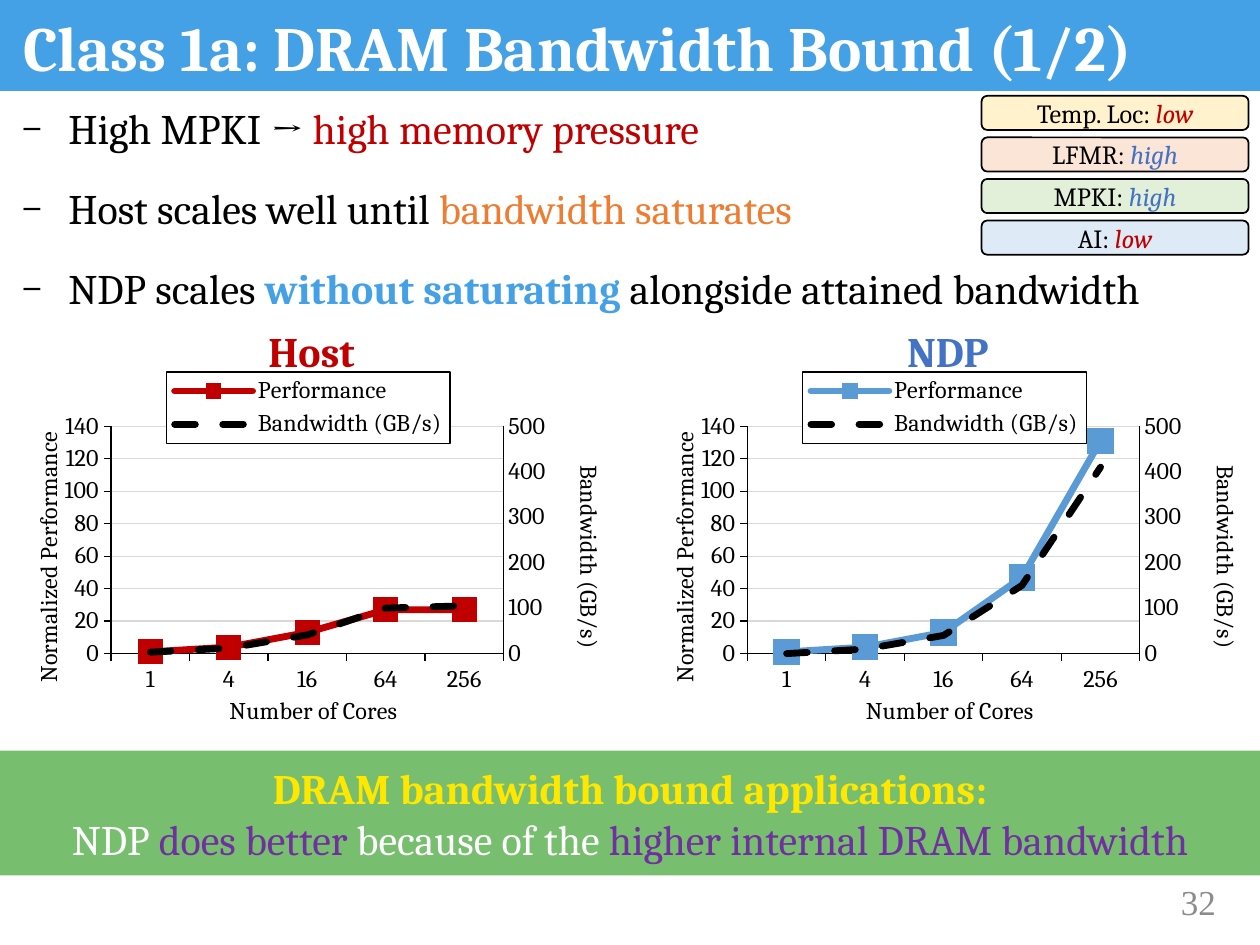
from dataclasses import dataclass

from pptx import Presentation
from pptx.chart.axis import ValueAxis
from pptx.chart.data import CategoryChartData
from pptx.dml.color import RGBColor
from pptx.enum.chart import XL_CHART_TYPE, XL_LEGEND_POSITION, XL_MARKER_STYLE, XL_TICK_MARK
from pptx.enum.dml import MSO_LINE
from pptx.enum.shapes import MSO_SHAPE
from pptx.enum.text import MSO_ANCHOR, MSO_AUTO_SIZE, PP_ALIGN
from pptx.oxml import parse_xml
from pptx.oxml.ns import nsdecls, qn
from pptx.util import Pt

LEFT, CENTER, RIGHT = PP_ALIGN.LEFT, PP_ALIGN.CENTER, PP_ALIGN.RIGHT
TOP, MIDDLE = MSO_ANCHOR.TOP, MSO_ANCHOR.MIDDLE
RECT, ROUNDED = MSO_SHAPE.RECTANGLE, MSO_SHAPE.ROUNDED_RECTANGLE
TICK_OUT, TICK_NONE = XL_TICK_MARK.OUTSIDE, XL_TICK_MARK.NONE


@dataclass(frozen=True)
class Theme:
    font: str = "Cambria"
    number_font: str = "Times New Roman"
    title_size: int = 36
    body_size: int = 24
    number_size: int = 20
    tag_size: int = 15
    chart_size: int = 14
    black: str = "000000"
    white: str = "FFFFFF"
    gray: str = "8C8C8C"
    grid: str = "D9D9D9"
    sky: str = "45A1E6"
    green: str = "77BF6F"
    yellow: str = "FFE700"
    purple: str = "7030A0"
    red: str = "C00000"
    orange: str = "ED7D31"
    blue: str = "4472C4"
    ndp_line: str = "5B9BD5"
    tag_fills: tuple = ("FFF2CC", "FBE5D6", "E2F0D9", "DEEBF7")


THEME = Theme()
rgb = RGBColor.from_string


def write(frame, paragraphs, size=THEME.body_size, font=THEME.font, align=LEFT,
          anchor=TOP, wrap=True, bullet=None, gap=0, line_spacing=1):
    """Fill a frame; each paragraph is a list of (text, colour, style) runs."""
    frame.word_wrap = wrap
    frame.auto_size = MSO_AUTO_SIZE.NONE
    frame.vertical_anchor = anchor
    for i, runs in enumerate(paragraphs):
        paragraph = frame.add_paragraph() if i else frame.paragraphs[0]
        if bullet:
            props = paragraph._p.get_or_add_pPr()
            props.set("marL", str(Pt(27.36)))
            props.set("indent", str(-Pt(27.36)))
            props.append(parse_xml(f'<a:buFont {nsdecls("a")} typeface="{font}"/>'))
            props.append(parse_xml(f'<a:buChar {nsdecls("a")} char="{bullet}"/>'))
        paragraph.alignment = align
        paragraph.line_spacing = line_spacing
        paragraph.space_before = Pt(gap if i else 0)
        for text, color, style in runs:
            run = paragraph.add_run()
            run.text = text
            run.font.name, run.font.size = font, Pt(size)
            run.font.color.rgb = rgb(color)
            run.font.bold, run.font.italic = style == "bold", style == "italic"


def place(shape, box):
    shape.left, shape.top, shape.width, shape.height = map(Pt, box)


def add_panel(slide, kind, box, fill, outline=None):
    panel = slide.shapes.add_shape(kind, *map(Pt, box))
    panel.shadow.inherit = False
    panel.fill.solid()
    panel.fill.fore_color.rgb = rgb(fill)
    if outline:
        panel.line.color.rgb = rgb(outline)
        panel.line.width = Pt(1)
    else:
        panel.line.fill.background()
    return panel


def add_label(slide, box, text, color, **style):
    label = slide.shapes.add_textbox(*map(Pt, box))
    write(label.text_frame, [[(text, color, style.pop("weight", None))]], **style)


def add_header(slide, box):
    left, top, width, height = box
    band = add_panel(slide, RECT, box, THEME.sky)
    slide.shapes._spTree.insert(2, band._element)  # behind the title
    title = slide.shapes.title
    place(title, (left + 6, top + 8, width - 12, height + 4))
    write(title.text_frame, [[("Class 1a: DRAM Bandwidth Bound (1/2)", THEME.white, "bold")]],
          size=THEME.title_size, line_spacing=0.9)


def add_findings(slide, box):
    findings = slide.placeholders[1]
    place(findings, box)
    write(findings.text_frame, [
        [("High MPKI →", THEME.black, None), (" high memory pressure", THEME.red, None)],
        [("Host scales well until ", THEME.black, None),
         ("bandwidth saturates", THEME.orange, None)],
        [("NDP scales ", THEME.black, None), ("without saturating", THEME.sky, "bold"),
         (" alongside attained bandwidth", THEME.black, None)],
    ], bullet="−", gap=17)


def add_tags(slide, box):
    left, top, width, height = box
    pitch, tag_height = height / 4, 19.5
    tags = (("Temp. Loc", "low"), ("LFMR", "high"), ("MPKI", "high"), ("AI", "low"))
    for i, ((metric, level), fill) in enumerate(zip(tags, THEME.tag_fills)):
        tag = add_panel(slide, ROUNDED, (left, top + i * pitch, width, tag_height),
                        fill, THEME.black)
        tag.text_frame.margin_top = tag.text_frame.margin_bottom = 0
        level_color = THEME.red if level == "low" else THEME.blue
        write(tag.text_frame, [[(f"{metric}: ", THEME.black, None),
                                (level, level_color, "italic")]],
              size=THEME.tag_size, align=CENTER, anchor=MIDDLE)


def set_layout(parent, index, inner=False, **fractions):
    """Give a chart part a manual layout in fractions of the chart."""
    for old in parent.findall(qn("c:layout")):
        parent.remove(old)
    target = '<c:layoutTarget val="inner"/>' if inner else ""
    values = "".join(f'<c:{key} val="{value}"/>' for key, value in fractions.items())
    parent.insert(index, parse_xml(
        f'<c:layout {nsdecls("c")}><c:manualLayout>{target}<c:xMode val="edge"/>'
        f'<c:yMode val="edge"/>{values}</c:manualLayout></c:layout>'))


def style_axis(axis, title, x, y, turn=0, tick=TICK_OUT):
    axis.major_tick_mark, axis.minor_tick_mark = tick, TICK_NONE
    axis.format.line.color.rgb = rgb(THEME.black)
    axis.format.line.width = Pt(0.75)
    axis.tick_labels.font.size = Pt(THEME.chart_size)
    write(axis.axis_title.text_frame, [[(title, THEME.black, None)]],
          size=THEME.chart_size, align=CENTER)
    heading = axis.axis_title._element
    heading.find(".//" + qn("a:bodyPr")).set("rot", str(turn * 60000))
    set_layout(heading, 1, x=x, y=y)


def scale(axis, top, step):
    axis.minimum_scale, axis.maximum_scale, axis.major_unit = 0, top, step


def add_right_axis(chart):
    """Move the second series to its own line chart on a right-hand axis."""
    plot_area = chart._chartSpace.chart.plotArea
    lines = plot_area.find(qn("c:lineChart"))
    second = parse_xml(
        f'<c:lineChart {nsdecls("c")}><c:grouping val="standard"/><c:varyColors val="0"/>'
        '<c:marker val="1"/><c:axId val="21"/><c:axId val="22"/></c:lineChart>')
    second.insert(2, lines.findall(qn("c:ser"))[1])
    lines.addnext(second)
    last = plot_area.find(qn("c:valAx"))
    for kind, own, other, hidden, side, crosses in (
            ("valAx", 22, 21, 0, "r", "max"), ("catAx", 21, 22, 1, "b", "autoZero")):
        last.addnext(parse_xml(
            f'<c:{kind} {nsdecls("c")}><c:axId val="{own}"/><c:scaling/>'
            f'<c:delete val="{hidden}"/><c:axPos val="{side}"/>'
            '<c:numFmt formatCode="General" sourceLinked="0"/>'
            '<c:tickLblPos val="nextTo"/>'
            f'<c:crossAx val="{other}"/><c:crosses val="{crosses}"/></c:{kind}>'))
    return ValueAxis(plot_area.findall(qn("c:valAx"))[1])


def add_scaling_chart(slide, box, performance, bandwidth, color, marker_size):
    data = CategoryChartData()
    data.categories = ["1", "4", "16", "64", "256"]
    data.add_series("Performance", performance)
    data.add_series("Bandwidth (GB/s)", bandwidth)
    chart = slide.shapes.add_chart(XL_CHART_TYPE.LINE_MARKERS, *map(Pt, box), data).chart
    chart.has_title = False
    chart.font.name, chart.font.size = THEME.font, Pt(THEME.chart_size)
    chart.font.color.rgb = rgb(THEME.black)
    chart.plots[0].vary_by_categories = False

    # Series
    for series, line_color in zip(chart.plots[0].series, (color, THEME.black)):
        series.smooth = False
        series.format.line.color.rgb = rgb(line_color)
        series.format.line.width = Pt(4)
        series.format.line._ln.set("cap", "rnd")
    series.format.line.dash_style = MSO_LINE.DASH
    series.marker.style = XL_MARKER_STYLE.NONE
    marker = chart.plots[0].series[0].marker
    marker.style, marker.size = XL_MARKER_STYLE.SQUARE, marker_size
    marker.format.fill.solid()
    marker.format.fill.fore_color.rgb = rgb(color)
    marker.format.line.color.rgb = rgb(color)

    # Axes
    style_axis(chart.category_axis, "Number of Cores", 0.357, 0.905)
    left_axis = chart.value_axis
    style_axis(left_axis, "Normalized Performance", 0.018, 0.18, turn=-90)
    scale(left_axis, 140, 20)
    left_axis.major_gridlines.format.line.color.rgb = rgb(THEME.grid)
    left_axis.major_gridlines.format.line.width = Pt(0.75)
    right_axis = add_right_axis(chart)
    style_axis(right_axis, "Bandwidth (GB/s)", 0.945, 0.27, turn=90, tick=TICK_NONE)
    scale(right_axis, 500, 100)
    set_layout(chart._chartSpace.chart.plotArea, 0, inner=True, x=0.161, y=0.175, w=0.675, h=0.628)

    # Legend
    chart.has_legend = True
    legend = chart.legend
    legend.position, legend.include_in_layout = XL_LEGEND_POSITION.TOP, False
    legend.font.size = Pt(THEME.chart_size)
    set_layout(legend._element, 1, x=0.256, y=0.025, w=0.488, h=0.197)
    legend._element.find(qn("c:overlay")).addnext(parse_xml(
        f'<c:spPr {nsdecls("c", "a")}><a:solidFill><a:srgbClr val="{THEME.white}"/></a:solidFill>'
        f'<a:ln w="9525"><a:solidFill><a:srgbClr val="{THEME.black}"/></a:solidFill></a:ln></c:spPr>'))


def add_system(slide, box, name, name_color, **chart):
    left, top, width, height = box
    add_label(slide, (left + 134, top, 68, 36), name, name_color,
              weight="bold", align=CENTER, wrap=False)
    add_scaling_chart(slide, (left, top + 25.2, width, height - 25.2), **chart)


def add_takeaway(slide, box):
    takeaway = add_panel(slide, RECT, box, THEME.green)
    write(takeaway.text_frame, [
        [("DRAM bandwidth bound applications:", THEME.yellow, "bold")],
        [("NDP ", THEME.white, None), ("does better ", THEME.purple, None),
         ("because of the ", THEME.white, None),
         ("higher internal DRAM bandwidth", THEME.purple, None)],
    ], align=CENTER, anchor=MIDDLE)


def main():
    deck = Presentation()
    deck.slide_width, deck.slide_height = Pt(720), Pt(540)
    slide = deck.slides.add_slide(deck.slide_layouts[1])
    add_header(slide, (0, -2, 720, 54))
    add_findings(slide, (4.5, 55, 715.5, 128))
    add_system(slide, (10, 182.2, 338.4, 236.8), "Host", THEME.red,
               performance=(1, 4, 13, 27, 27), bandwidth=(3, 12, 41, 100, 105),
               color=THEME.red, marker_size=14)
    add_system(slide, (373.6, 182.2, 338.4, 236.8), "NDP", THEME.blue,
               performance=(1, 4, 13, 47, 131), bandwidth=(0, 10, 40, 150, 410),
               color=THEME.ndp_line, marker_size=15)
    add_tags(slide, (560.9, 54.8, 152.6, 95))
    add_takeaway(slide, (0, 429, 720, 71.3))
    add_label(slide, (624, 500.4, 78, 29), "32", THEME.gray, size=THEME.number_size,
              font=THEME.number_font, align=RIGHT, anchor=MIDDLE)
    deck.save("out.pptx")


if __name__ == "__main__":
    main()
